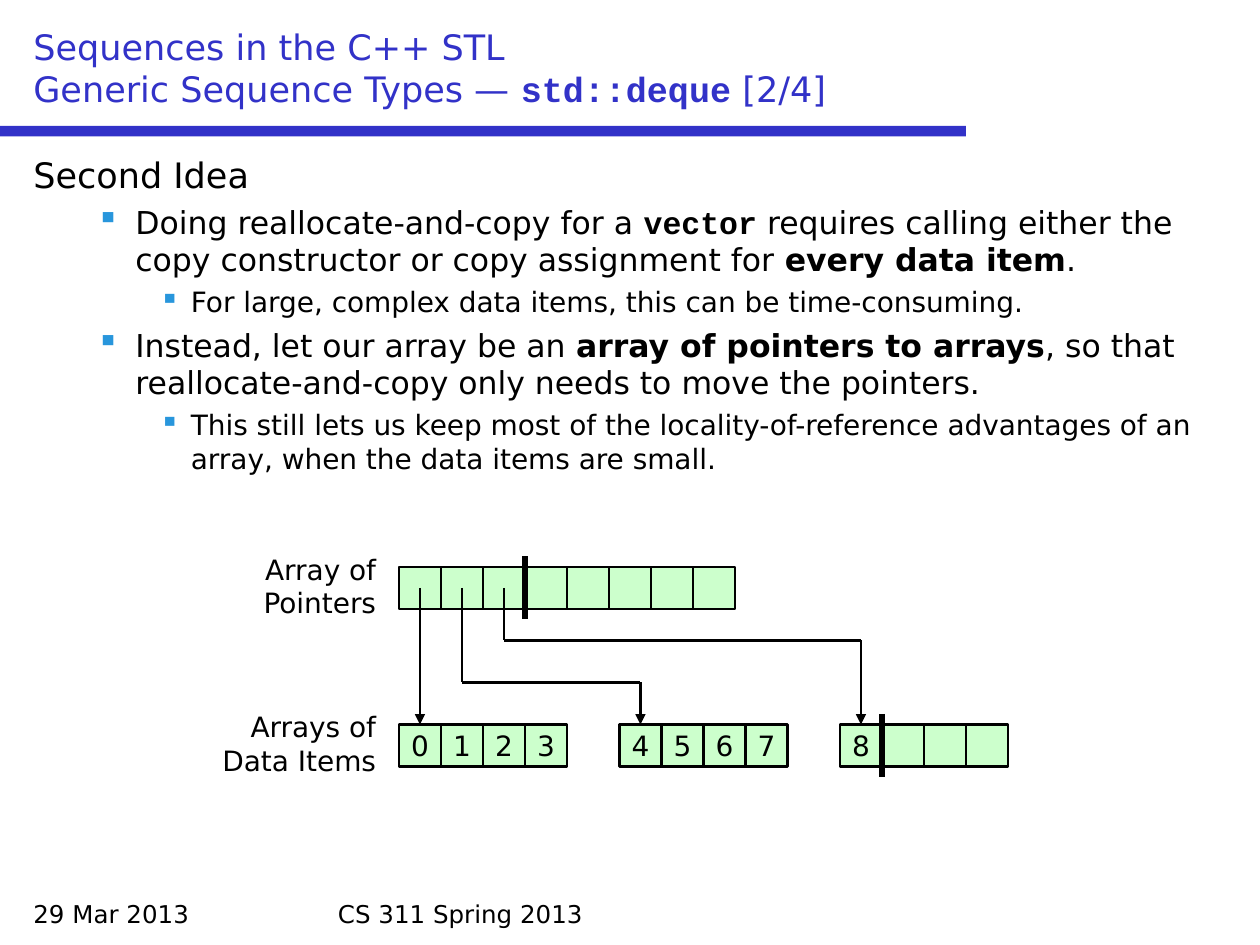
from dataclasses import dataclass

from lxml.etree import SubElement
from pptx import Presentation
from pptx.dml.color import RGBColor
from pptx.enum.shapes import MSO_CONNECTOR, MSO_SHAPE
from pptx.enum.text import MSO_ANCHOR, PP_ALIGN
from pptx.oxml.ns import qn
from pptx.util import Inches, Length, Pt

COLORS = {"ink": "000000", "blue": "3232C8", "bullet": "2896DC", "cell": "CCFFCC"}
STYLES = {
    "plain": {"name": "DejaVu Sans", "bold": False},
    "bold": {"name": "DejaVu Sans", "bold": True},
    "code": {"name": "Courier New", "bold": True},
}
CELL = 4  # cell side in grid steps


@dataclass
class Level:
    size: int
    margin: float
    indent: float
    before: float
    mark: str = ""


@dataclass
class Row:
    left: int
    top: int
    items: str  # one character per cell, a space for an empty cell


@dataclass
class Line:
    points: list[tuple[int, int]]
    width: float = 1.25
    arrow: bool = True


LEVELS = [
    Level(20, 0.38, -0.38, 0),
    Level(18, 0.81, -0.31, 4.2, "▪"),
    Level(16, 1.25, -0.25, 3.7, "▪"),
]
TITLE = [("Sequences in the C++ STL", "plain"), ("\n", "plain"),
         ("Generic Sequence Types — ", "plain"), ("std::deque", "code"),
         (" [2/4]", "plain")]
BODY = [
    (0, [("Second Idea", "plain")]),
    (1, [("Doing reallocate-and-copy for a ", "plain"), ("vector", "code"),
         (" requires calling either the copy constructor or copy assignment for ", "plain"),
         ("every data item", "bold"), (".", "plain")]),
    (2, [("For large, complex data items, this can be time-consuming.", "plain")]),
    (1, [("Instead, let our array be an ", "plain"),
         ("array of pointers to arrays", "bold"),
         (", so that reallocate-and-copy only needs to move the pointers.", "plain")]),
    (2, [("This still lets us keep most of the locality-of-reference advantages "
          "of an array, when the data items are small.", "plain")]),
]
NOTES = [
    ("29 Mar 2013", (2, 85, 28, 4), 14, PP_ALIGN.LEFT),
    ("CS 311 Spring 2013", (31, 85, 58, 4), 14, PP_ALIGN.LEFT),
    ("Array of Pointers", (22, 52, 15, 7.7), 16, PP_ALIGN.RIGHT),
    ("Arrays of Data Items", (19, 67, 18, 7.7), 16, PP_ALIGN.RIGHT),
]
ROWS = [Row(38, 54, " " * 8), Row(38, 69, "0123"),
        Row(59, 69, "4567"), Row(80, 69, "8   ")]
LINES = [
    Line([(40, 56), (40, 69)]),
    Line([(44, 56), (44, 65), (61, 65), (61, 69)]),
    Line([(48, 56), (48, 61), (82, 61), (82, 69)]),
    Line([(50, 53), (50, 59)], 3, False),
    Line([(84, 68), (84, 74)], 3, False),
]


def grid(step: float) -> Length:
    """Turn grid steps of a twelfth of an inch into a length."""
    return Inches(step / 12)


def tint(key: str) -> RGBColor:
    return RGBColor.from_string(COLORS[key])


def write(para, parts, size: int, color: str = "ink") -> None:
    """Add styled runs to a paragraph; a newline part is a line break."""
    for text, style in parts:
        if text == "\n":
            para.add_line_break()
            continue
        run = para.add_run()
        run.text = text
        for key, value in {**STYLES[style], "size": Pt(size)}.items():
            setattr(run.font, key, value)
        run.font.color.rgb = tint(color)


def add_text(slide, box, anchor=MSO_ANCHOR.TOP):
    frame = slide.shapes.add_textbox(*map(grid, box)).text_frame
    frame.word_wrap = True
    frame.vertical_anchor = anchor
    return frame


def add_body(slide) -> None:
    frame = add_text(slide, (2, 14, 116, 70))
    for i, (depth, parts) in enumerate(BODY):
        para = frame.add_paragraph() if i else frame.paragraphs[0]
        level = LEVELS[depth]
        para.level = depth
        para.space_before = Pt(level.before)
        props = para._p.get_or_add_pPr()
        props.set("marL", str(Inches(level.margin)))
        props.set("indent", str(Inches(level.indent)))
        if level.mark:
            color = SubElement(props, qn("a:buClr"))
            SubElement(color, qn("a:srgbClr"), val=COLORS["bullet"])
            SubElement(props, qn("a:buChar"), char=level.mark)
        write(para, parts, level.size)


def add_rect(slide, box, fill: str):
    rect = slide.shapes.add_shape(MSO_SHAPE.RECTANGLE, *map(grid, box))
    rect.shadow.inherit = False
    rect.fill.solid()
    rect.fill.fore_color.rgb = tint(fill)
    rect.line.fill.background()
    return rect


def add_row(slide, row: Row) -> None:
    for i, item in enumerate(row.items):
        rect = add_rect(slide, (row.left + i * CELL, row.top, CELL, CELL), "cell")
        rect.line.color.rgb = tint("ink")
        rect.line.width = Pt(1.25)
        if item.strip():
            frame = rect.text_frame
            frame.word_wrap = False
            frame.vertical_anchor = MSO_ANCHOR.MIDDLE
            para = frame.paragraphs[0]
            para.alignment = PP_ALIGN.CENTER
            write(para, [(item, "plain")], 16)


def add_line(slide, line: Line) -> None:
    """Draw straight segments through the points, with an arrow on the last."""
    for start, end in zip(line.points, line.points[1:]):
        part = slide.shapes.add_connector(
            MSO_CONNECTOR.STRAIGHT, *map(grid, start + end))
        part.line.color.rgb = tint("ink")
        part.line.width = Pt(line.width)
        if line.arrow and end == line.points[-1]:
            SubElement(part.line._get_or_add_ln(), qn("a:tailEnd"), type="triangle")
        SubElement(part._element.spPr, qn("a:effectLst"))


def main() -> None:
    deck = Presentation()
    deck.slide_width, deck.slide_height = Inches(10), Inches(7.5)
    slide = deck.slides.add_slide(deck.slide_layouts[6])
    add_rect(slide, (0, 12, 92, 1), "blue")
    title = add_text(slide, (2, 2, 116, 9), MSO_ANCHOR.BOTTOM)
    write(title.paragraphs[0], TITLE, 20, "blue")
    add_body(slide)
    for text, box, size, align in NOTES:
        para = add_text(slide, box).paragraphs[0]
        para.alignment = align
        write(para, [(text, "plain")], size)
    for row in ROWS:
        add_row(slide, row)
    for line in LINES:
        add_line(slide, line)
    deck.save("out.pptx")


if __name__ == "__main__":
    main()
